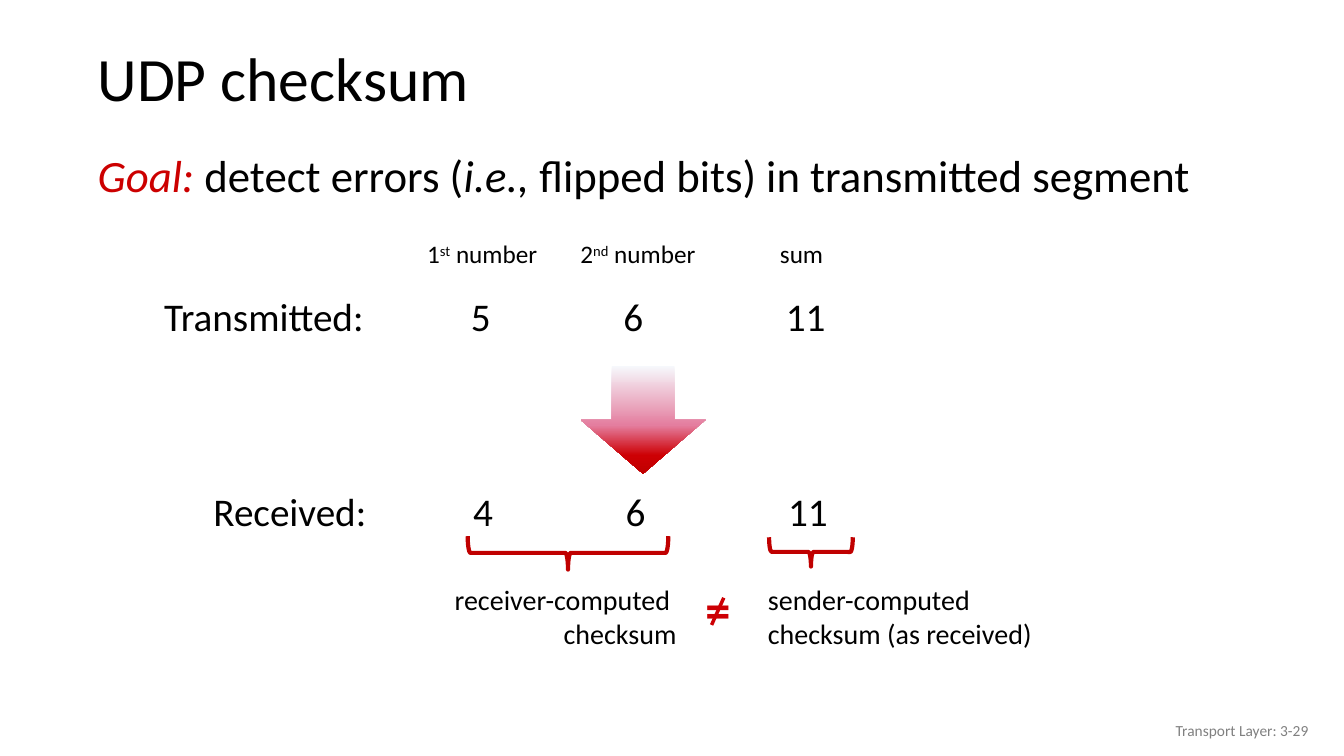
from lxml import etree
from pptx import Presentation
from pptx.dml.color import RGBColor
from pptx.enum.shapes import MSO_CONNECTOR, MSO_SHAPE
from pptx.enum.text import MSO_ANCHOR, MSO_AUTO_SIZE, PP_ALIGN
from pptx.oxml.ns import qn
from pptx.util import Pt

LEFT, RIGHT = PP_ALIGN.LEFT, PP_ALIGN.RIGHT
TOP, MIDDLE = MSO_ANCHOR.TOP, MSO_ANCHOR.MIDDLE
FIT = MSO_AUTO_SIZE.SHAPE_TO_FIT_TEXT
DOWN, BRACE = MSO_SHAPE.DOWN_ARROW, MSO_SHAPE.RIGHT_BRACE
STRAIGHT = MSO_CONNECTOR.STRAIGHT

FONT = "Calibri"
COLORS = {"black": "000000", "goal": "CC0000", "brace": "C00000",
          "unequal": "CD0004", "gray": "808080"}

prs = Presentation()
prs.slide_width, prs.slide_height = Pt(960), Pt(540)
slide = prs.slides.add_slide(prs.slide_layouts[6])
shapes = slide.shapes


def color(name):
    return RGBColor.from_string(COLORS[name])


def add_text(box, lines, size, hue="black", align=LEFT, anchor=TOP,
             wrap=True, space=1.0, tabs=()):
    """Add a text box; each line is a list of runs."""
    frame = shapes.add_textbox(*map(Pt, box)).text_frame
    frame.word_wrap = wrap
    frame.vertical_anchor = anchor
    if not wrap:
        frame.auto_size = FIT
    for i, runs in enumerate(lines):
        para = frame.add_paragraph() if i else frame.paragraphs[0]
        para.alignment = align
        para.line_spacing = space
        if tabs:
            stops = etree.SubElement(para._p.get_or_add_pPr(), qn("a:tabLst"))
            for tab in tabs:
                etree.SubElement(stops, qn("a:tab"),
                                 pos=str(int(Pt(tab))), algn="l")
        para.font.name, para.font.size = FONT, Pt(size)
        para.font.color.rgb = color(hue)
        for text in runs:
            para.add_run().text = text
    return frame


# Title and goal
add_text((62.6, 23, 874, 70.6), [["UDP checksum"]], 44,
         anchor=MIDDLE, space=0.9)
goal = add_text((62.6, 108, 874, 67), [[
    "Goal:", " detect errors (", "i.e., ",
    "flipped bits) in transmitted segment"]], 32, space=0.85)
runs = goal.paragraphs[0].runs
runs[0].font.color.rgb = color("goal")
runs[0].font.italic = runs[2].font.italic = True

# Number rows, with tab stops at shared columns
ROWS = [(110.2, 208.8, 329.2, "Transmitted:\t5\t6\t11"),
        (145.4, 348.5, 330.8, "Received:\t4\t6\t11")]
for left, top, first, text in ROWS:
    start = first - left
    add_text((left, top, 796, 45.4), [[text]], 28, space=0.9,
             tabs=[start, start + 109, start + 225])

# Column heads
HEADS = [(298, 95, ["1", "st", " number"]),
         (407.5, 99.4, ["2", "nd", " number"]), (550, 45.6, ["sum"])]
for left, width, parts in HEADS:
    head = add_text((left, 167, width, 29), [parts], 18, wrap=False)
    for run in head.paragraphs[0].runs[1:2]:
        run._r.get_or_add_rPr().set("baseline", "30000")

# Gradient arrow
arrow = shapes.add_shape(DOWN, Pt(414.7), Pt(261.4), Pt(89.3), Pt(77))
arrow.shadow.inherit = False
arrow.line.fill.background()
arrow.fill.gradient()
arrow.fill.gradient_angle = 270
stops = arrow._element.spPr.find(".//" + qn("a:gsLst"))
for stop in list(stops):
    stops.remove(stop)
for pos, hue in [(0, "F6F8FC"), (55, "E47E9F"), (83, "CD0004"),
                 (100, "C00000")]:
    stop = etree.SubElement(stops, qn("a:gs"), pos=str(pos * 1000))
    etree.SubElement(stop, qn("a:srgbClr"), val=hue)

# Braces
for left, top, width, height in [(393.8, 323.3, 23.8, 143.3),
                                 (568.8, 364.3, 20.9, 59.8)]:
    brace = shapes.add_shape(BRACE, Pt(left), Pt(top), Pt(width), Pt(height))
    brace.rotation = 90
    brace.shadow.inherit = False
    brace.fill.background()
    brace.line.color.rgb = color("brace")
    brace.line.width = Pt(3)

# Checksum labels
add_text((315.4, 412.6, 175, 55.4),
         [["receiver-computed "], ["checksum"]], 20, align=RIGHT, wrap=False)
add_text((541.4, 412.6, 205.2, 55.4),
         [["sender-computed"], ["checksum (as received)"]], 20, wrap=False)

# Unequal sign: equals with a slash
sign = add_text((496.8, 409.7, 32.4, 51), [["="]], 36, "unequal", wrap=False)
sign.paragraphs[0].font.bold = True
slash = shapes.add_connector(STRAIGHT, Pt(517), Pt(427), Pt(508.3), Pt(446.4))
slash.line.color.rgb = color("unequal")
slash.line.width = Pt(2.5)
etree.SubElement(slash._element.spPr, qn("a:effectLst"))

# Footer
add_text((725.8, 507.6, 216, 28.8), [["Transport Layer: 3-29"]], 11, "gray",
         align=RIGHT, anchor=MIDDLE)

prs.save("out.pptx")
